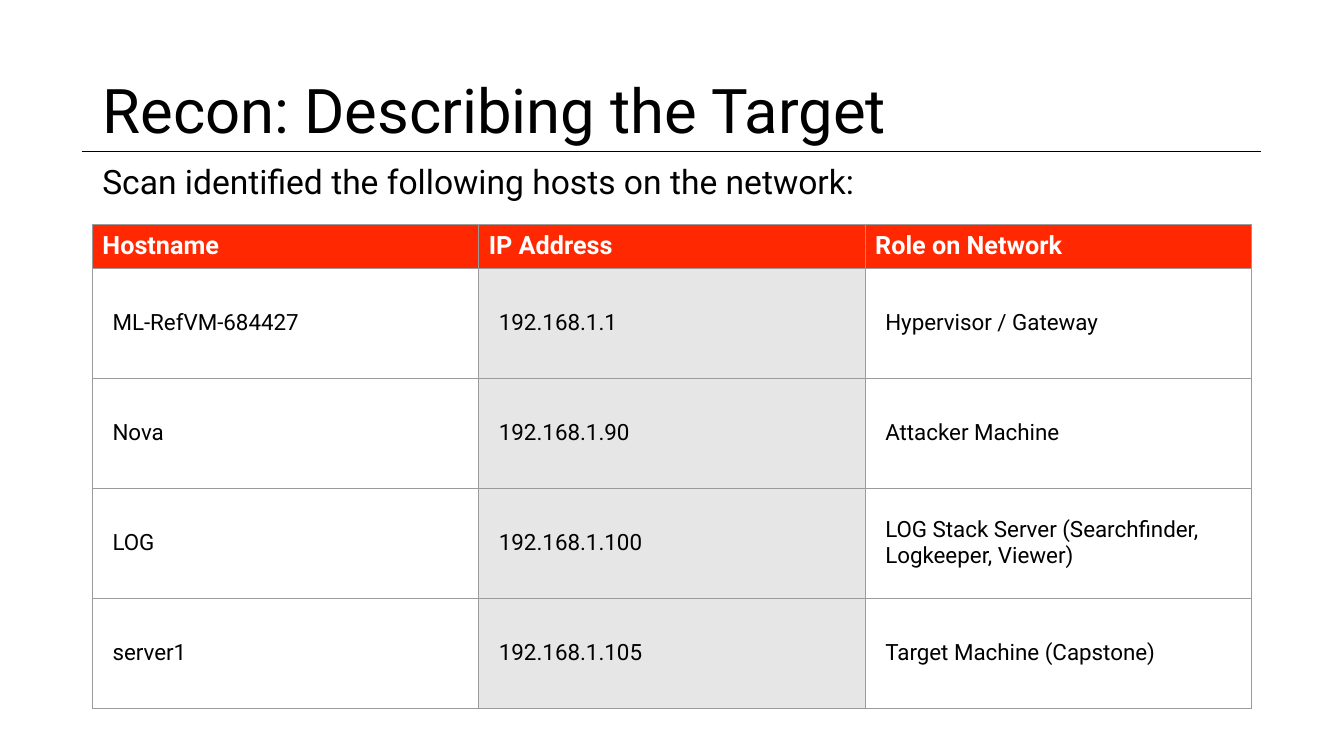
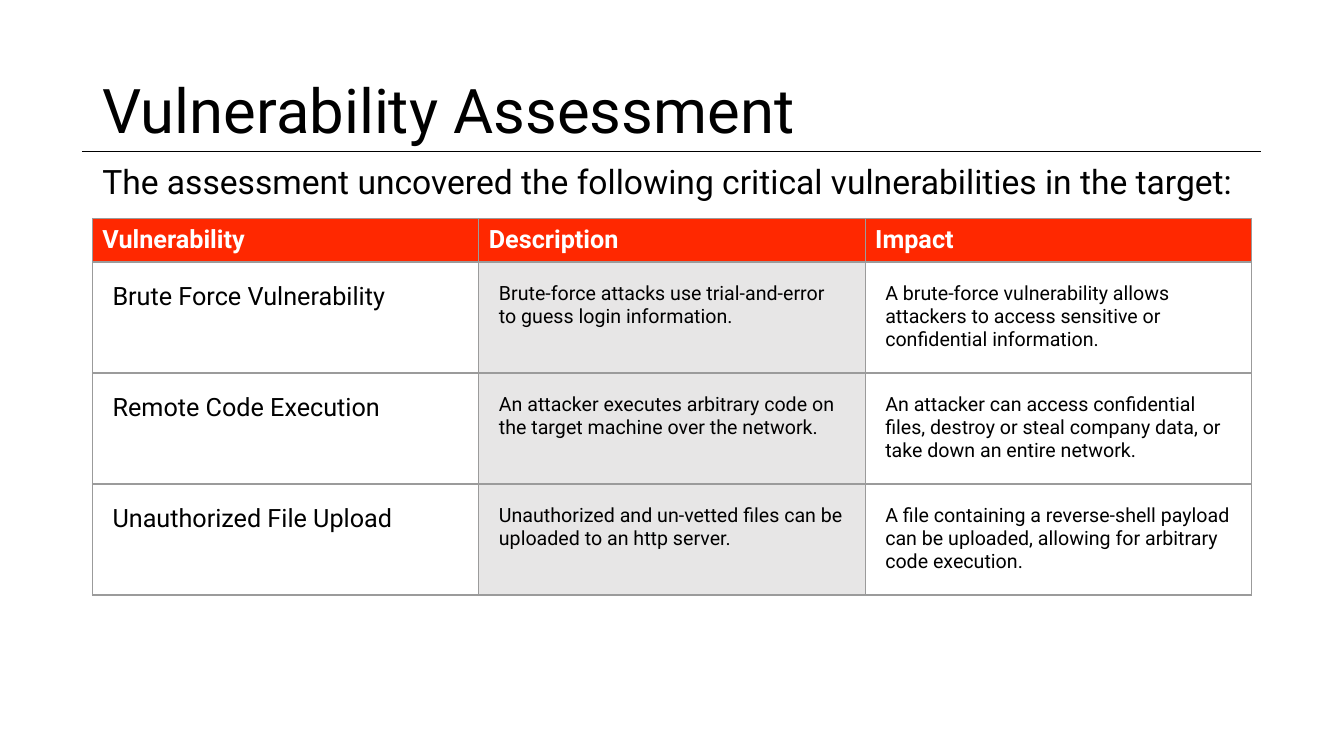
from lxml.etree import SubElement
from pptx import Presentation
from pptx.dml.color import RGBColor
from pptx.enum.shapes import MSO_CONNECTOR
from pptx.enum.text import MSO_ANCHOR as Anchor, MSO_AUTO_SIZE as AutoSize, PP_ALIGN as Align
from pptx.oxml.ns import qn
from pptx.util import Pt

BLACK = RGBColor(0x00, 0x00, 0x00)
WHITE = RGBColor(0xFF, 0xFF, 0xFF)
RED = RGBColor(0xFF, 0x28, 0x00)
PALE_GREY = RGBColor(0xE7, 0xE6, 0xE6)
BORDER_GREY = RGBColor(0x9B, 0x9B, 0x9B)

FONT = "Roboto"
LEFT, WIDTH = Pt(66), Pt(828)
HEADER_HEIGHT, ROW_HEIGHT = Pt(31.2), Pt(78.6)
CELL_INSET = Pt(14.4)
BODY_FILLS = (WHITE, PALE_GREY, WHITE)


def write(frame, text, size, color=BLACK, bold=False, spacing=None, before=None):
    """Put one formatted paragraph into a text frame."""
    paragraph = frame.paragraphs[0]
    paragraph.alignment = Align.LEFT
    paragraph.line_spacing = spacing
    paragraph.space_before = before
    run = paragraph.add_run()
    run.text = text
    run.font.name = FONT
    run.font.size = Pt(size)
    run.font.bold = bold
    run.font.color.rgb = color


def add_borders(cell):
    """Draw a thin grey line on all four sides of a cell."""
    properties = cell._tc.get_or_add_tcPr()
    for side in ("a:lnL", "a:lnR", "a:lnT", "a:lnB"):
        line = SubElement(properties, qn(side), w=str(Pt(1)))
        fill = SubElement(line, qn("a:solidFill"))
        SubElement(fill, qn("a:srgbClr"), val=str(BORDER_GREY))


class Report:
    """Holds the presentation, its style and the current slide."""

    def __init__(self):
        self.deck = Presentation()
        self.deck.slide_width, self.deck.slide_height = Pt(960), Pt(540)
        self.slide = None

    def start_slide(self, title, intro):
        self.slide = self.deck.slides.add_slide(self.deck.slide_layouts[5])
        self.add_title(title)
        self.add_rule()
        self.add_intro(intro)

    def add_title(self, text):
        title = self.slide.shapes.title
        title.left, title.top, title.width, title.height = LEFT, Pt(28.75), WIDTH, Pt(104.4)
        title.text_frame.auto_size = AutoSize.NONE
        title.text_frame.vertical_anchor = Anchor.MIDDLE
        write(title.text_frame, text, 44, spacing=0.9)

    def add_rule(self):
        rule = self.slide.shapes.add_connector(
            MSO_CONNECTOR.STRAIGHT, Pt(58.5), Pt(108), Pt(900.75), Pt(108))
        rule.line.color.rgb = BLACK
        rule.line.width = Pt(0.75)
        SubElement(rule._element.spPr, qn("a:effectLst"))

    def add_intro(self, text):
        intro = self.slide.shapes.add_textbox(LEFT, Pt(109.5), WIDTH, Pt(38)).text_frame
        intro.word_wrap = True
        intro.vertical_anchor = Anchor.BOTTOM
        write(intro, text, 24, spacing=0.9, before=Pt(10))

    def add_table(self, top, header, rows, sizes, anchor):
        """Add a red header row over body rows; sizes gives each column's text size."""
        height = HEADER_HEIGHT + ROW_HEIGHT * len(rows)
        table = self.slide.shapes.add_table(
            len(rows) + 1, len(header), LEFT, top, WIDTH, height).table
        table.first_row = table.horz_banding = False
        table.rows[0].height = HEADER_HEIGHT
        for column, label in enumerate(header):
            self.fill_cell(table.cell(0, column), label, RED, Anchor.MIDDLE,
                           size=18, color=WHITE, bold=True)
        for number, row in enumerate(rows, start=1):
            table.rows[number].height = ROW_HEIGHT
            for column, text in enumerate(row):
                cell = table.cell(number, column)
                cell.margin_left = cell.margin_right = CELL_INSET
                cell.margin_top = cell.margin_bottom = CELL_INSET
                self.fill_cell(cell, text, BODY_FILLS[column], anchor, size=sizes[column])

    def fill_cell(self, cell, text, fill, anchor, **text_format):
        add_borders(cell)
        cell.fill.solid()
        cell.fill.fore_color.rgb = fill
        cell.vertical_anchor = anchor
        write(cell.text_frame, text, **text_format)


def main():
    report = Report()

    # Hosts found on the network
    report.start_slide("Recon: Describing the Target",
                       "Scan identified the following hosts on the network:")
    report.add_table(
        Pt(160.4),
        ("Hostname", "IP Address", "Role on Network"),
        (
            ("ML-RefVM-684427", "192.168.1.1", "Hypervisor / Gateway"),
            ("Nova", "192.168.1.90", "Attacker Machine"),
            ("LOG", "192.168.1.100", "LOG Stack Server (Searchfinder, Logkeeper, Viewer)"),
            ("server1", "192.168.1.105", "Target Machine (Capstone)"),
        ),
        sizes=(16, 16, 16), anchor=Anchor.MIDDLE)

    # Critical vulnerabilities
    report.start_slide(
        "Vulnerability Assessment",
        "The assessment uncovered the following critical vulnerabilities in the target:")
    report.add_table(
        Pt(156),
        ("Vulnerability", "Description", "Impact"),
        (
            ("Brute Force Vulnerability",
             "Brute-force attacks use trial-and-error to guess login information.",
             "A brute-force vulnerability allows attackers to access sensitive or "
             "confidential information."),
            ("Remote Code Execution",
             "An attacker executes arbitrary code on the target machine over the network.",
             "An attacker can access confidential files, destroy or steal company data, "
             "or take down an entire network."),
            ("Unauthorized File Upload",
             "Unauthorized and un-vetted files can be uploaded to an http server.",
             "A file containing a reverse-shell payload can be uploaded, allowing for "
             "arbitrary code execution."),
        ),
        sizes=(18, 14, 14), anchor=Anchor.TOP)

    report.deck.save("out.pptx")


if __name__ == "__main__":
    main()
